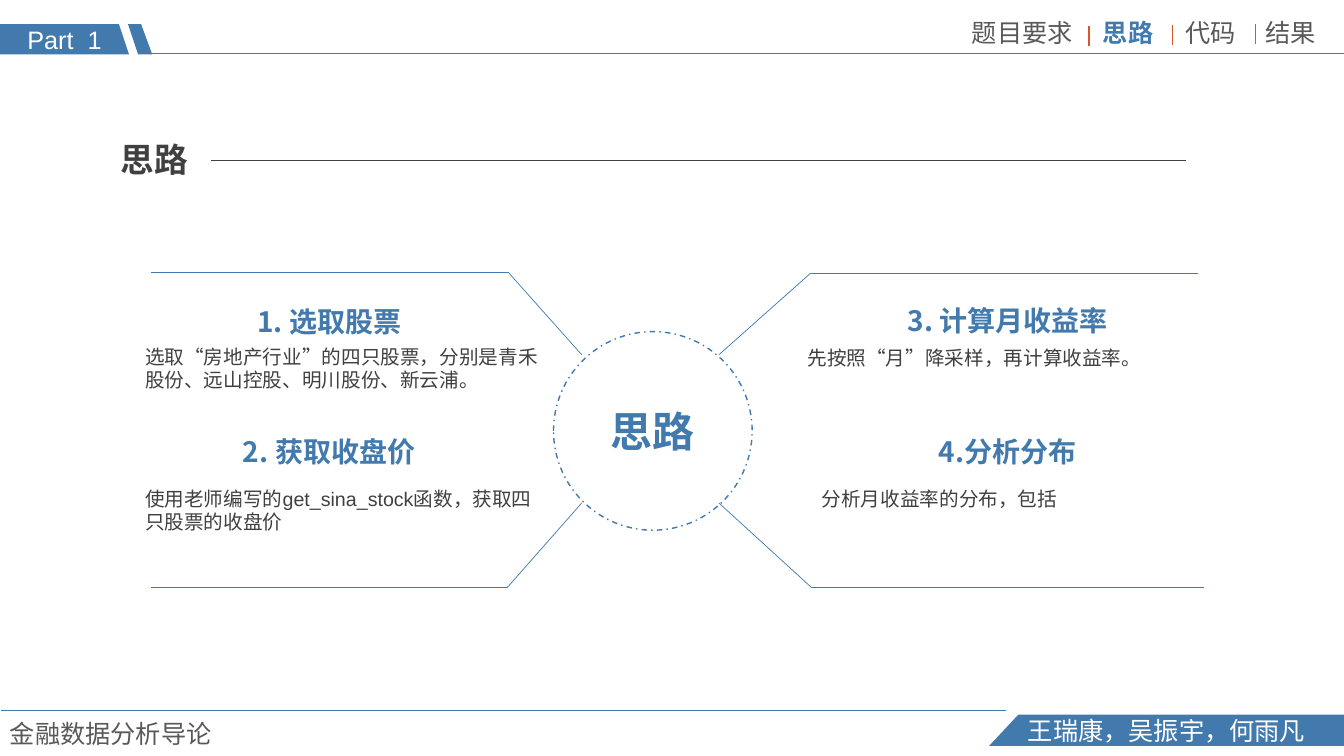
"""Build the outline slide: four steps around a central circle."""
from lxml.etree import SubElement as Sub
from pptx import Presentation
from pptx.dml.color import RGBColor
from pptx.enum.dml import MSO_LINE as Dash
from pptx.enum.shapes import MSO_CONNECTOR as Link, MSO_SHAPE as Shape
from pptx.enum.text import MSO_ANCHOR as Anchor, MSO_AUTO_SIZE as Auto, PP_ALIGN as Align
from pptx.oxml.ns import qn
from pptx.util import Pt

PX = 9144
WIDE, HIGH = 1333, 750
BLUE = RGBColor(0x42, 0x7A, 0xAD)
RED = RGBColor(0xD7, 0x56, 0x2E)
DARK = RGBColor(0x40, 0x40, 0x40)
GRAY = RGBColor(0x59, 0x59, 0x59)
WHITE = RGBColor(0xFF, 0xFF, 0xFF)
ARIAL, NOTO = "Arial", "Noto Sans CJK SC"


def emu(*sizes):
    """Turn px lengths into EMU."""
    return [size * PX for size in sizes]


def write(shape, text, size, color, font=ARIAL, bold=False,
          align=Align.LEFT, anchor=Anchor.TOP):
    """Put one formatted paragraph into a shape."""
    frame = shape.text_frame
    frame.word_wrap = True
    frame.auto_size = Auto.NONE
    frame.vertical_anchor = anchor
    para = frame.paragraphs[0]
    para.text = text
    para.alignment = align
    para.font.name = font
    para.font.size = Pt(size)
    para.font.bold = bold
    para.font.color.rgb = color


def label(slide, box, *args, **kinds):
    """Add a text box."""
    write(slide.shapes.add_textbox(*emu(*box)), *args, **kinds)


def rule(slide, start, end, color=BLUE, width=0.5):
    """Draw a straight line without shadow."""
    line = slide.shapes.add_connector(Link.STRAIGHT, *emu(*start, *end))
    line.line.color.rgb = color
    line.line.width = Pt(width)
    Sub(line._element.spPr, qn("a:effectLst"))


def band(slide, points):
    """Draw a filled blue outline."""
    pen = slide.shapes.build_freeform(*points[0], scale=PX)
    pen.add_line_segments(points[1:])
    shape = pen.convert_to_shape()
    shape.shadow.inherit = False
    shape.fill.solid()
    shape.fill.fore_color.rgb = BLUE
    shape.line.fill.background()
    return shape


def header(slide, x, y, w):
    """Place the part tag, the top rule and the section names."""
    tag = band(slide, [(x, y), (x + 118, y), (x + 128, y + 30), (x, y + 30)])
    write(tag, "Part  1", 18, WHITE, align=Align.CENTER, anchor=Anchor.MIDDLE)
    band(slide, [(x + 127, y), (x + 140, y), (x + 151, y + 30), (x + 137, y + 30)])
    rule(slide, (x + 144, y + 29), (x + w, y + 29))
    names = [("题目要求", 954, 121), ("思路", 1084, 79),
             ("代码", 1166, 79), ("结果", 1245, 79)]
    for name, left, width in names:
        here = name == "思路"
        label(slide, (x + left, y - 12, width, 40), name, 18,
              BLUE if here else GRAY, NOTO if here else ARIAL, here)
    for left, top in ((1080, 2), (1163, 1), (1245, 0)):
        rule(slide, (x + left, y + top), (x + left, y + top + 20), RED, 1)


def footer(slide, x, y, w):
    """Place the course name and the authors' band."""
    rule(slide, (x + 1, y), (x + 998, y))
    label(slide, (x, y + 3, 783, 40), "金融数据分析导论", 18, GRAY)
    end = band(slide, [(x + 1010, y + 4), (x + w, y + 4),
                       (x + w, y + 35), (x + 981, y + 35)])
    write(end, "王瑞康，吴振宇，何雨凡", 18, WHITE,
          align=Align.CENTER, anchor=Anchor.MIDDLE)


def heading(slide, x, y, w):
    """Place the slide title and the rule beside it."""
    title = slide.shapes.title
    title.left, title.top, title.width, title.height = emu(x, y, 100, 50)
    write(title, "思路", 24, DARK, bold=True)
    rule(slide, (x + 99, y + 26), (x + w, y + 26), DARK)


def hub(slide, x, y, size):
    """Place the dashed circle with its word."""
    disc = slide.shapes.add_shape(Shape.OVAL, *emu(x, y, size, size))
    disc.shadow.inherit = False
    disc.fill.solid()
    disc.fill.fore_color.rgb = WHITE
    disc.line.color.rgb = BLUE
    disc.line.width = Pt(1)
    disc.line.dash_style = Dash.DASH_DOT
    write(disc, "思路", 30, BLUE, NOTO, True, Align.CENTER, Anchor.MIDDLE)


def arm(slide, inner, bend, outer):
    """Draw a bent line from the circle outwards."""
    rule(slide, inner, bend)
    rule(slide, bend, (outer, bend[1]))


def step(slide, x, y, w, name, note, gap, left, width):
    """Place a centred step name and the note below it."""
    label(slide, (x, y, w, 44), name, 20, BLUE, NOTO, True, Align.CENTER)
    label(slide, (left, y + gap, width, 57), note, 14, DARK)


def main():
    """Build and save the slide."""
    deck = Presentation()
    deck.slide_width, deck.slide_height = emu(WIDE, HIGH)
    slide = deck.slides.add_slide(deck.slide_layouts[5])
    header(slide, 0, 24, WIDE)
    footer(slide, 0, 705, WIDE)
    heading(slide, 110, 133, 1066)
    hub(slide, 549, 329, 197)
    arm(slide, (577, 352), (504, 270), 150)
    arm(slide, (577, 499), (503, 583), 150)
    arm(slide, (713, 352), (804, 271), 1188)
    arm(slide, (713, 499), (805, 583), 1194)
    step(slide, 194, 297, 265, "1. 选取股票",
         "选取“房地产行业”的四只股票，分别是青禾股份、远山控股、明川股份、新云浦。",
         40, 134, 414)
    step(slide, 188, 426, 277, "2. 获取收盘价",
         "使用老师编写的get_sina_stock函数，获取四只股票的收盘价", 52, 134, 414)
    step(slide, 847, 296, 305, "3. 计算月收益率",
         "先按照“月”降采样，再计算收益率。", 42, 791, 427)
    step(slide, 893, 426, 213, "4.分析分布",
         "分析月收益率的分布，包括", 52, 805, 414)
    deck.save("out.pptx")


if __name__ == "__main__":
    main()
